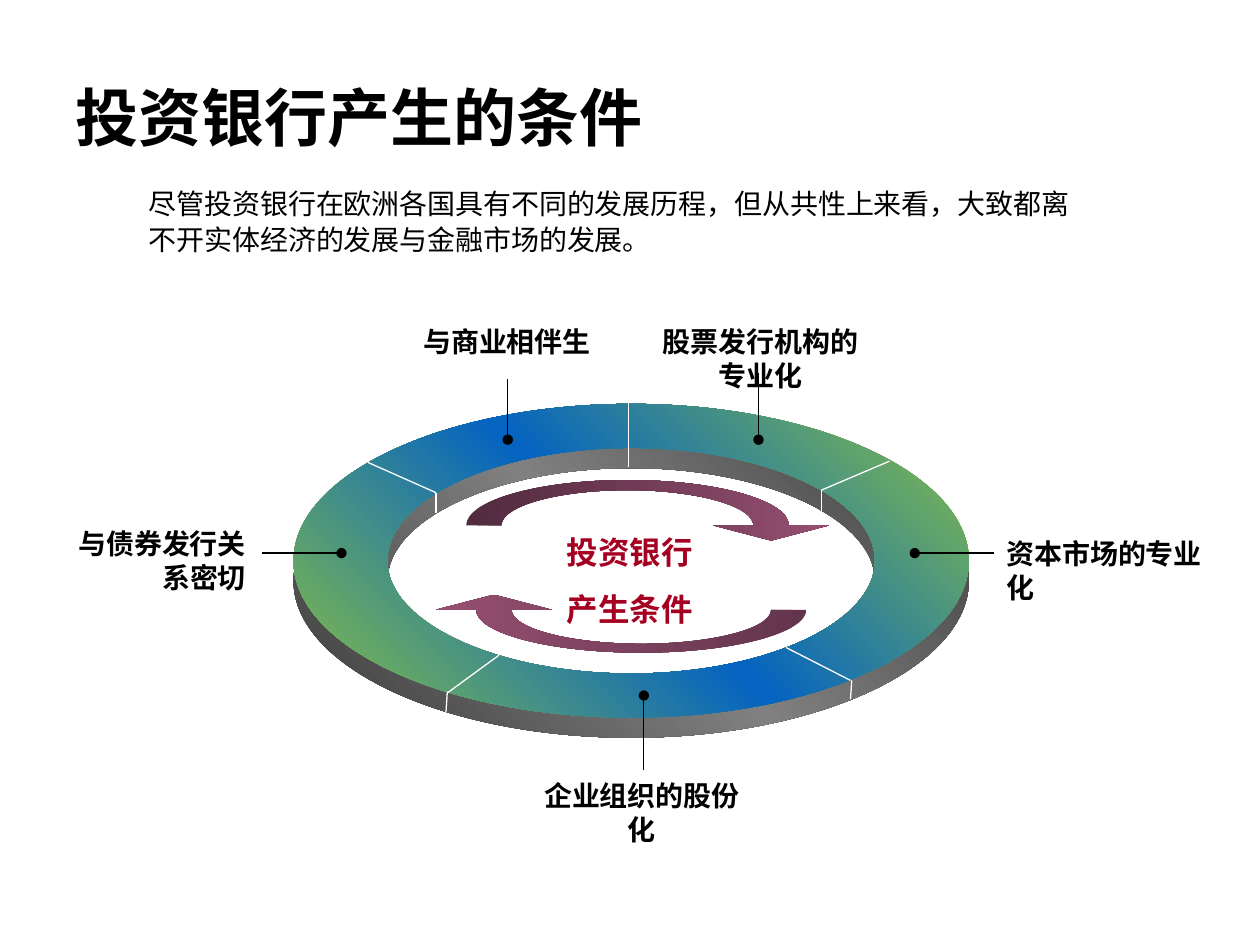
from math import cos, radians, sin

from lxml import etree
from pptx import Presentation
from pptx.dml.color import RGBColor
from pptx.enum import shapes, text
from pptx.oxml import ns
from pptx.util import Inches, Pt

HUES = {"ink": "000000", "white": "FFFFFF", "red": "A50021",
        "green": "8BC145", "blue": "0563C1", "dark": "3B3B3B",
        "gray": "808080", "plum": "954F72", "shade": "512B3E",
        "dusk": "63354C"}
SANS = "Noto Sans CJK SC"
LEFT, MID, RIGHT = (text.PP_ALIGN.LEFT, text.PP_ALIGN.CENTER,
                    text.PP_ALIGN.RIGHT)
UNITS = 1000  # outline units per inch
BEND = 0.55  # handle length of a quarter ellipse


def color(name):
    return RGBColor.from_string(HUES[name])


def sub(node, tag, **attrs):
    return etree.SubElement(node, ns.qn(tag), attrs)


def put(box, area, lines, size=16, bold=True, hue="ink", align=LEFT,
        font="Arial", before=0, spacing=1, anchor=text.MSO_ANCHOR.TOP):
    """Place a text shape and fill it with formatted paragraphs."""
    box.left, box.top, box.width, box.height = map(Inches, area)
    frame = box.text_frame
    frame.word_wrap = True
    frame.auto_size = text.MSO_AUTO_SIZE.NONE
    frame.vertical_anchor = anchor
    frame.text = "\n".join(lines)
    for para in frame.paragraphs:
        para.alignment = align
        para.space_before = Pt(before)
        para.line_spacing = spacing
        run = para.runs[0]
        run.font.size = Pt(size)
        run.font.bold = bold
        run.font.name = font
        run.font.color.rgb = color(hue)
        sub(run.font._element, "a:ea", typeface=SANS)


def label(slide, area, *lines, **style):
    put(slide.shapes.add_textbox(0, 0, 0, 0), area, lines, **style)


def plain(box):
    """Take the bullet and indent off a body placeholder."""
    for para in box.text_frame.paragraphs:
        props = para._p.get_or_add_pPr()
        props.set("marL", "0")
        props.set("indent", "0")
        sub(props, "a:buNone")


def arc(rx, ry, start, end):
    """Give the first point, then one three-point curve per quarter."""
    turn = 90 if end > start else -90
    bend = BEND if turn > 0 else -BEND
    steps = [[(rx * cos(radians(start)), ry * sin(radians(start)))]]
    for angle in range(start, end, turn):
        a, b = radians(angle), radians(angle + turn)
        steps.append([
            (rx * (cos(a) - bend * sin(a)), ry * (sin(a) + bend * cos(a))),
            (rx * (cos(b) + bend * sin(b)), ry * (sin(b) - bend * cos(b))),
            (rx * cos(b), ry * sin(b))])
    return steps


def blend(shape, hues, angle):
    """Fill with evenly spaced gradient stops."""
    shape.fill.gradient()
    shape.fill.gradient_angle = angle
    stops = shape._element.spPr.find(".//" + ns.qn("a:gsLst"))
    for stop in list(stops):
        stops.remove(stop)
    for i, hue in enumerate(hues):
        stop = sub(stops, "a:gs", pos=str(100000 * i // (len(hues) - 1)))
        sub(stop, "a:srgbClr", val=HUES[hue])


def curve(shape, steps):
    """Join the three segments of each curved step into one Bézier."""
    marks = iter(list(shape._element.iter(ns.qn("a:lnTo"))))
    for step in steps:
        parts = [next(marks) for _ in step]
        if len(parts) == 3:
            bow = etree.Element(ns.qn("a:cubicBezTo"))
            parts[0].addprevious(bow)
            for part in parts:
                bow.append(part[0])
                part.getparent().remove(part)


def form(slide, cx, cy, paths, hues, angle, turn=1):
    """Draw closed paths around a centre; turn -1 rotates them half round."""
    def spot(point):
        return [round(UNITS * (mid + turn * off))
                for mid, off in zip((cx, cy), point)]

    pen = slide.shapes.build_freeform(*spot(paths[0][0][0]),
                                      scale=Inches(1) / UNITS)
    for i, path in enumerate(paths):
        if i:
            pen.move_to(*spot(path[0][0]))
        pen.add_line_segments([spot(p) for step in path[1:] for p in step],
                              close=True)
    shape = pen.convert_to_shape()
    shape.shadow.inherit = False
    shape.line.fill.background()
    blend(shape, hues, angle)
    curve(shape, [step for path in paths for step in path[1:]])


def ring(slide, cy, hues):
    form(slide, 5.01, cy, [arc(2.68, 1.245, 0, 360),
                           arc(1.935, 0.895, 360, 0)], hues, 45)


def arrow(slide, cx, cy, rx, ry, thick, turn, hues):
    """Draw a half-turn arrow; turn is 1 for the top, -1 for the bottom."""
    head = [[(rx + 0.32, 0)], [(rx - 0.14, 0.12)], [(rx - 0.6, 0)]]
    path = (arc(rx, ry, 180, 360) + head
            + arc(rx - 0.28, ry - thick, 360, 180))
    form(slide, cx, cy, [path], hues, 0 if turn > 0 else 180, turn)


def line(slide, start, end, hue="white", dot=False):
    link = slide.shapes.add_connector(
        shapes.MSO_CONNECTOR.STRAIGHT, *map(Inches, start + end))
    link.line.color.rgb = color(hue)
    link.line.width = Pt(0.75)
    if dot:
        sub(link.line._get_or_add_ln(), "a:tailEnd", type="oval")
    sub(link._element.spPr, "a:effectLst")


def main():
    deck = Presentation()
    deck.slide_width, deck.slide_height = Inches(10), Inches(7.5)
    slide = deck.slides.add_slide(deck.slide_layouts[1])
    put(slide.shapes.title, (0.5, 0.3, 9, 1.25), ["投资银行产生的条件"],
        size=36, font=SANS, anchor=text.MSO_ANCHOR.MIDDLE)
    body = slide.placeholders[1]
    put(body, (1.08, 1.4, 7.58, 0.69),
        ["尽管投资银行在欧洲各国具有不同的发展历程，但从共性上来看，"
         "大致都离不开实体经济的发展与金融市场的发展。"],
        bold=False, spacing=1.1)
    plain(body)

    ring(slide, 4.61, ["dark", "gray", "dark"])
    ring(slide, 4.45, ["green", "blue", "green"])
    seams = [((4.99, 3.71), (4.99, 3.2)), ((3.46, 3.91), (3.46, 4.07)),
             ((6.52, 3.89), (6.52, 4.06)), ((6.52, 3.89), (7.06, 3.66)),
             ((3.46, 3.91), (2.92, 3.67)), ((3.96, 5.2), (3.55, 5.5)),
             ((6.24, 5.14), (6.75, 5.4)), ((3.55, 5.49), (3.54, 5.65)),
             ((6.76, 5.4), (6.75, 5.55))]
    for start, end in seams:
        line(slide, start, end)

    notes = [
        ("与商业相伴生", (3.11, 2.53, 1.83, 0.37), MID,
         (4.03, 3.01), (4.03, 3.49)),
        ("股票发行机构的专业化", (5.12, 2.53, 1.83, 0.64), MID,
         (6.02, 2.96), (6.02, 3.49)),
        ("资本市场的专业化", (7.89, 4.21, 1.76, 0.64), LEFT,
         (7.89, 4.39), (7.26, 4.39)),
        ("企业组织的股份化", (4.18, 6.13, 1.83, 0.64), MID,
         (5.11, 6.11), (5.11, 5.52)),
        ("与债券发行关系密切", (0.33, 4.13, 1.72, 0.64), RIGHT,
         (2.08, 4.39), (2.71, 4.39))]
    for words, area, align, start, end in notes:
        line(slide, start, end, hue="ink", dot=True)
        label(slide, area, words, align=align, before=10)

    label(slide, (4.05, 4.18, 1.9, 0.86), "投资银行", "产生条件",
          size=18, hue="red", align=MID, before=11.2)
    arrow(slide, 4.98, 4.17, 1.28, 0.36, 0.08, 1, ["shade", "plum"])
    arrow(slide, 5.09, 4.84, 1.31, 0.34, 0.07, -1, ["dusk", "plum"])
    deck.save("out.pptx")


if __name__ == "__main__":
    main()
